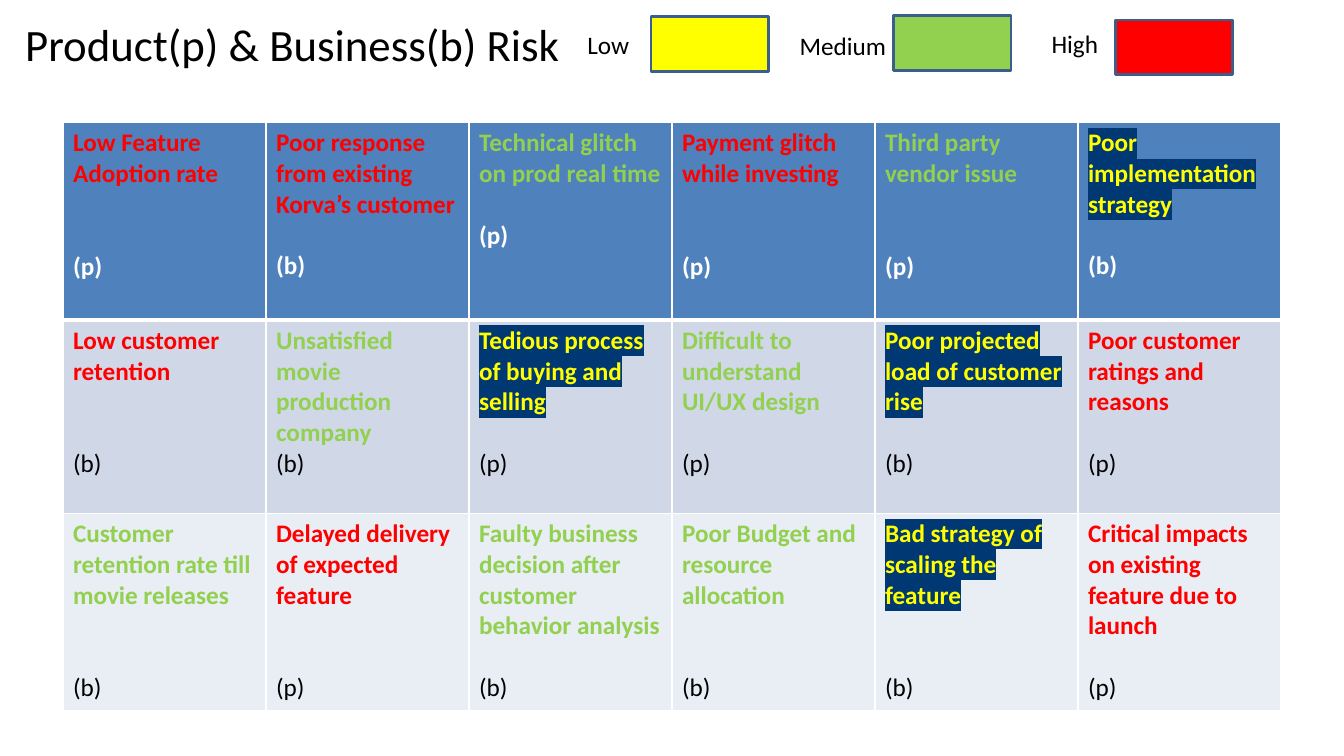
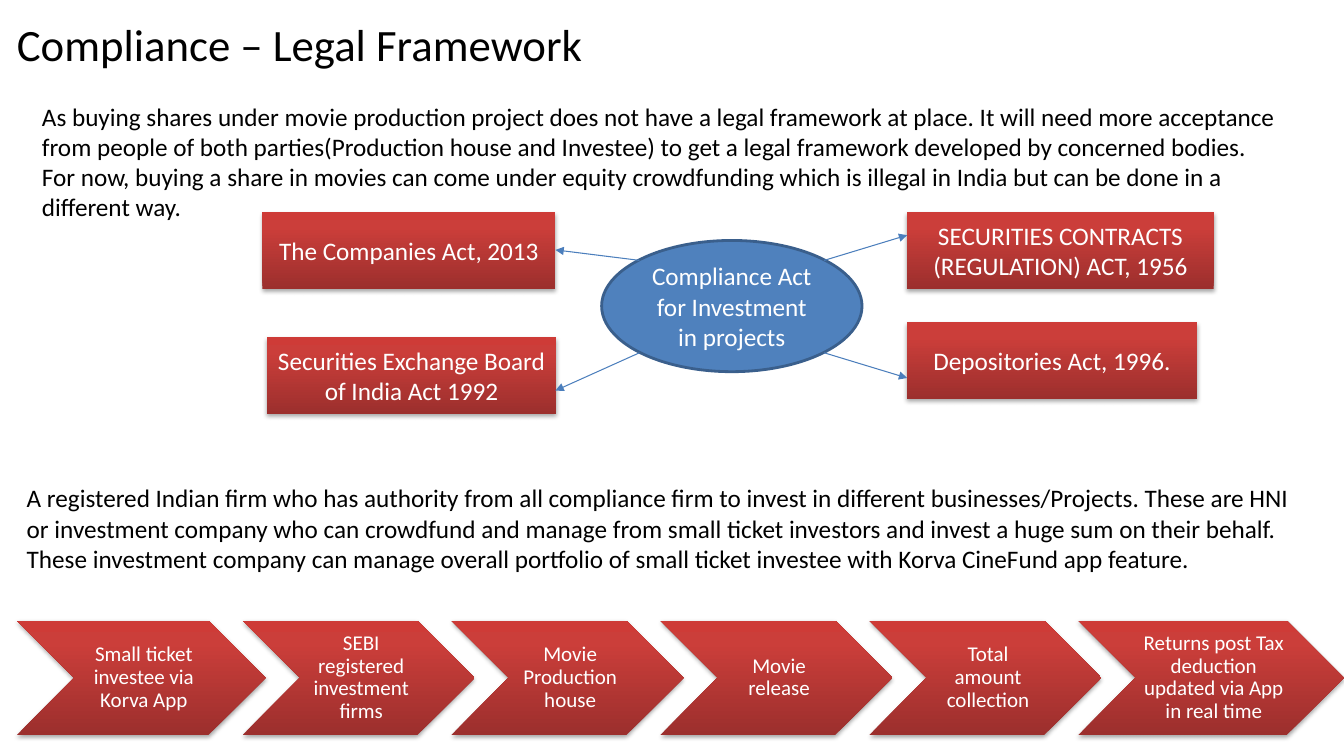
import dataclasses

import lxml.etree
import pptx
import pptx.dml.color
import pptx.enum.shapes
import pptx.enum.text
import pptx.oxml.ns
import pptx.util

SHAPES = pptx.enum.shapes.MSO_SHAPE
ALIGN = pptx.enum.text.PP_ALIGN
ANCHOR = pptx.enum.text.MSO_ANCHOR


@dataclasses.dataclass(frozen=True)
class Theme:
    """Colours and type sizes shared by the slides."""
    font: str = "Calibri"
    title_size: int = 32
    text_size: int = 18
    step_size: int = 15
    line_height: int = 22
    ink: str = "000000"
    paper: str = "FFFFFF"
    low: str = "FFFF00"
    medium: str = "92D050"
    high: str = "FF0000"
    highlight: str = "003874"
    blue: str = "4F81BD"
    outline: str = "3A5F8C"
    arrow: str = "4B7EBC"
    row_fills: tuple = ("4F81BD", "D0D8E8", "E9EDF4")
    red_stops: tuple = ((0, "9C2F2D"), (80, "CB3E3A"), (100, "CE3B37"))


@dataclasses.dataclass(frozen=True)
class Box:
    """A rectangle in px."""
    left: int
    top: int
    width: int
    height: int

    def inner(self, left, top, width, height):
        """Return a box placed relative to this one."""
        return Box(self.left + left, self.top + top, width, height)

    def emu(self):
        """Return left, top, width and height in EMU."""
        return [px(n) for n in dataclasses.astuple(self)]


THEME = Theme()
PAGE = Box(0, 0, 1280, 720)

RISKS = (
    (("Low Feature Adoption rate", "high", 2, "(p)"),
     ("Poor response from existing Korva’s customer", "high", 1, "(b)"),
     ("Technical glitch on prod real time", "medium", 1, "(p)"),
     ("Payment glitch while investing", "high", 2, "(p)"),
     ("Third party vendor issue", "medium", 2, "(p)"),
     ("Poor implementation strategy", "low", 1, "(b)")),
    (("Low customer retention", "high", 2, "(b)"),
     ("Unsatisfied movie production company", "medium", 0, "(b)"),
     ("Tedious process of buying and selling", "low", 1, "(p)"),
     ("Difficult to understand UI/UX design", "medium", 1, "(p)"),
     ("Poor projected load of customer rise", "low", 1, "(b)"),
     ("Poor customer ratings and reasons", "high", 1, "(p)")),
    (("Customer retention rate till movie releases", "medium", 2, "(b)"),
     ("Delayed delivery of expected feature", "high", 2, "(p)"),
     ("Faulty business decision after customer behavior analysis", "medium", 1, "(b)"),
     ("Poor Budget and resource allocation", "medium", 2, "(b)"),
     ("Bad strategy of scaling the feature", "low", 2, "(b)"),
     ("Critical impacts on existing feature due to launch", "high", 1, "(p)")),
)
ROW_HEIGHTS = (188, 184, 188)

LEGEND = (
    ("Low", "low", (0, 8, 64, 38), (70, 1)),
    ("Medium", "medium", (202, 9, 107, 38), (301, 0)),
    ("High", "high", (442, 7, 81, 38), (512, 4)),
)

ACTS = (
    ("The Companies Act, 2013", (0, 0, 279, 73), (359, 46), (279, 36)),
    ("Securities Exchange Board of India Act 1992", (4, 119, 276, 73), (359, 134), (279, 170)),
    ("SECURITIES CONTRACTS (REGULATION) ACT, 1956", (614, 0, 292, 73), (535, 46), (614, 22)),
    ("Depositories Act, 1996.", (614, 105, 276, 73), (535, 134), (614, 158)),
)

STEPS = (
    ("Small ticket investee via Korva App", 237),
    ("SEBI registered investment firms", 221),
    ("Movie Production house", 221),
    ("Movie release", 221),
    ("Total amount collection", 221),
    ("Returns post Tax deduction updated via App in real time", 253),
)
STEP_OVERLAP = 22

FRAMEWORK = (
    "As buying shares under movie production project does not have a legal framework at place. "
    "It will need more acceptance from people of both parties(Production house and Investee) "
    "to get a legal framework developed by concerned bodies.",
    "For now, buying a share in movies can come under equity crowdfunding which is illegal in "
    "India but can be done in a different way.",
)
FIRM = (
    "A registered Indian firm who has authority from all compliance firm to invest in different "
    "businesses/Projects. These are HNI or investment company who can crowdfund and manage from "
    "small ticket investors and invest a huge sum on their behalf. These investment company can "
    "manage overall portfolio of small ticket investee with Korva CineFund app feature.",
)


def px(count):
    """Turn px into EMU."""
    return pptx.util.Emu(count * 9525)


def rgb(colour):
    """Turn a hex string into a colour."""
    return pptx.dml.color.RGBColor.from_string(colour)


def add_xml(parent, tag, **attributes):
    """Append a drawing element and return it."""
    values = {name: str(value) for name, value in attributes.items()}
    return lxml.etree.SubElement(parent, pptx.oxml.ns.qn("a:" + tag), values)


def add_span(para, text, size, colour, bold=False):
    """Add one run of text."""
    span = para.add_run()
    span.text = text
    span.font.name = THEME.font
    span.font.size = pptx.util.Pt(size)
    span.font.bold = bold
    span.font.color.rgb = rgb(colour)
    return span


def set_insets(frame, left, top, right, bottom):
    """Set the four text margins in px."""
    frame.margin_left, frame.margin_top = px(left), px(top)
    frame.margin_right, frame.margin_bottom = px(right), px(bottom)


def add_text(page, box, texts, size=THEME.text_size, inset=True):
    """Add a wrapping text box with one paragraph per text."""
    frame = page.shapes.add_textbox(*box.emu()).text_frame
    frame.word_wrap = True
    if not inset:
        set_insets(frame, 0, 0, 0, 0)
    for index, text in enumerate(texts):
        para = frame.add_paragraph() if index else frame.paragraphs[0]
        add_span(para, text, size, THEME.ink)


def add_shape(page, kind, box, text="", size=THEME.text_size):
    """Add a shape without shadow, with centred white text."""
    shape = page.shapes.add_shape(kind, *box.emu())
    shape.shadow.inherit = False
    if text:
        frame = shape.text_frame
        frame.word_wrap = True
        frame.vertical_anchor = ANCHOR.MIDDLE
        frame.paragraphs[0].alignment = ALIGN.CENTER
        add_span(frame.paragraphs[0], text, size, THEME.paper)
    return shape


def style_flat(shape, colour):
    """Give a shape a plain fill and the shared outline."""
    shape.fill.solid()
    shape.fill.fore_color.rgb = rgb(colour)
    shape.line.color.rgb = rgb(THEME.outline)
    shape.line.width = pptx.util.Pt(2)


def style_red(shape):
    """Give a shape the red gradient and a soft shadow."""
    shape.line.fill.background()
    shape.fill.gradient()
    shape.fill.gradient_angle = 90
    properties = shape._element.spPr
    stops = properties.find(".//" + pptx.oxml.ns.qn("a:gsLst"))
    stops.clear()
    for position, colour in THEME.red_stops:
        add_xml(add_xml(stops, "gs", pos=position * 1000), "srgbClr", val=colour)
    effects = properties.find(pptx.oxml.ns.qn("a:effectLst"))
    shadow = add_xml(effects, "outerShdw", blurRad=40000, dist=23000, dir=5400000, rotWithShape=0)
    add_xml(add_xml(shadow, "srgbClr", val=THEME.ink), "alpha", val=35000)


def add_arrow(page, start, end):
    """Add a thin line with an arrowhead at its end."""
    line = page.shapes.add_connector(
        pptx.enum.shapes.MSO_CONNECTOR.STRAIGHT, *map(px, start + end))
    line.line.color.rgb = rgb(THEME.arrow)
    line.line.width = pptx.util.Pt(0.75)
    properties = line._element.spPr
    add_xml(properties.get_or_add_ln(), "tailEnd", type="triangle")
    add_xml(properties, "effectLst")


def add_title(page, box, text):
    """Add the slide title."""
    add_text(page, box, (text,), THEME.title_size, inset=False)


def add_legend(page, box):
    """Add the labelled risk colours."""
    for label, level, place, corner in LEGEND:
        swatch = add_shape(page, SHAPES.RECTANGLE, box.inner(*corner, 112, 52))
        style_flat(swatch, getattr(THEME, level))
        add_text(page, box.inner(*place), (label,))


def style_cell(cell, row):
    """Set the white borders and the row fill of a cell."""
    properties = cell._tc.get_or_add_tcPr()
    widths = {"lnL": 1, "lnR": 1, "lnT": 3 if row == 1 else 1, "lnB": 1 if row else 3}
    for side, width in widths.items():
        border = add_xml(properties, side, w=width * 12700)
        add_xml(add_xml(border, "solidFill"), "srgbClr", val=THEME.paper)
    cell.fill.solid()
    cell.fill.fore_color.rgb = rgb(THEME.row_fills[row])


def fill_cell(cell, row, risk, level, gap, kind):
    """Write a risk and, some lines below it, its kind."""
    frame = cell.text_frame
    colour = getattr(THEME, level)
    span = add_span(frame.paragraphs[0], risk, THEME.text_size, colour, True)
    if level == "low":
        properties = span._r.get_or_add_rPr()
        mark = add_xml(properties, "highlight")
        add_xml(mark, "srgbClr", val=THEME.highlight)
        properties.find(pptx.oxml.ns.qn("a:solidFill")).addnext(mark)
    para = frame.add_paragraph()
    para.space_before = pptx.util.Pt(gap * THEME.line_height)
    add_span(para, kind, THEME.text_size, THEME.ink if row else THEME.paper, row == 0)


def add_risk_table(page, box):
    """Add the table of risks."""
    columns = len(RISKS[0])
    table = page.shapes.add_table(len(RISKS), columns, *box.emu()).table
    for column in table.columns:
        column.width = px(box.width) // columns
    for row, risks in enumerate(RISKS):
        table.rows[row].height = px(ROW_HEIGHTS[row])
        for column, risk in enumerate(risks):
            cell = table.cell(row, column)
            style_cell(cell, row)
            fill_cell(cell, row, *risk)


def add_act_map(page, box):
    """Add the central ellipse with arrows to the four acts."""
    centre = add_shape(page, SHAPES.OVAL, box.inner(323, 27, 248, 125),
                       "Compliance Act for Investment in projects")
    style_flat(centre, THEME.blue)
    for act, place, start, end in ACTS:
        style_red(add_shape(page, SHAPES.RECTANGLE, box.inner(*place), act))
        add_arrow(page, *((box.left + x, box.top + y) for x, y in (start, end)))


def add_steps(page, box):
    """Add the row of overlapping chevrons."""
    left = 0
    for text, width in STEPS:
        place = box.inner(left, 0, width, box.height)
        step = add_shape(page, SHAPES.CHEVRON, place, text, THEME.step_size)
        style_red(step)
        set_insets(step.text_frame, 7, 2, 2, 2)
        step.text_frame.paragraphs[0].line_spacing = 0.9
        left += width - STEP_OVERLAP


def build_risk_page(page, box):
    """Build the risk slide."""
    add_title(page, box.inner(24, 16, 526, 104), "Product(p) & Business(b) Risk")
    add_legend(page, box.inner(550, 15, 624, 56))
    add_risk_table(page, box.inner(60, 117, 1160, sum(ROW_HEIGHTS)))


def build_compliance_page(page, box):
    """Build the compliance slide."""
    add_title(page, box.inner(16, 16, 560, 104), "Compliance – Legal Framework")
    add_text(page, box.inner(40, 96, 1208, 116), FRAMEWORK, inset=False)
    add_act_map(page, box.inner(250, 202, 906, 192))
    add_text(page, box.inner(16, 455, 1224, 97), FIRM)
    add_steps(page, box.inner(16, 591, 1264, 109))


def main():
    """Build and save the deck."""
    deck = pptx.Presentation()
    deck.slide_width, deck.slide_height = px(PAGE.width), px(PAGE.height)
    for build in (build_risk_page, build_compliance_page):
        build(deck.slides.add_slide(deck.slide_layouts[6]), PAGE)
    deck.save("out.pptx")


if __name__ == "__main__":
    main()
